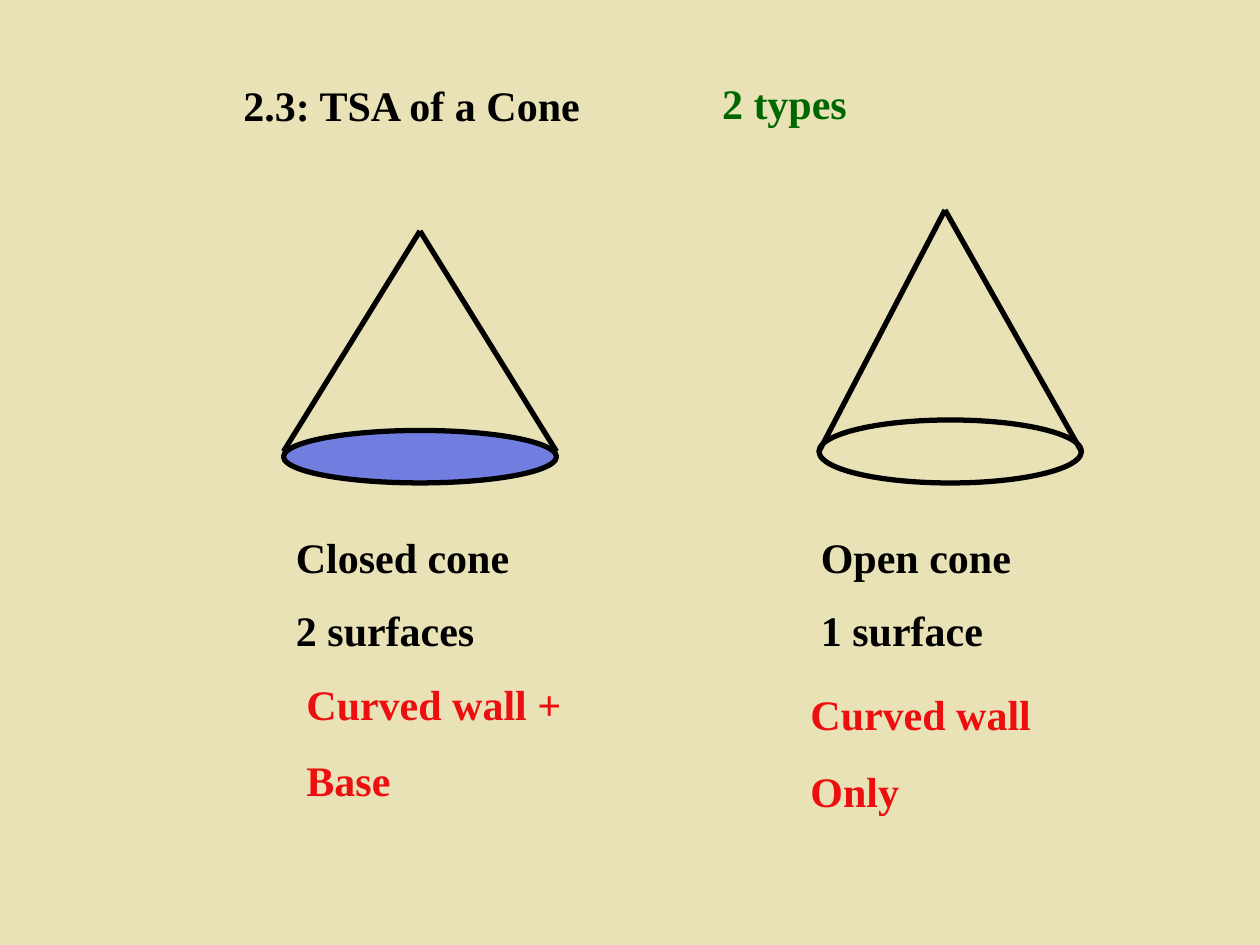
from lxml import etree
from pptx import Presentation
from pptx.dml.color import RGBColor
from pptx.enum.shapes import MSO_CONNECTOR, MSO_SHAPE
from pptx.enum.text import MSO_AUTO_SIZE
from pptx.oxml.ns import qn
from pptx.util import Pt

STRAIGHT = MSO_CONNECTOR.STRAIGHT
OVAL = MSO_SHAPE.OVAL
FIT_SHAPE = MSO_AUTO_SIZE.SHAPE_TO_FIT_TEXT
BLACK, GREEN, RED = "000000", "006600", "ED0F0F"
BASE_BLUE, CREAM = "727DE0", "E9E2B6"


def colour(value):
    return RGBColor.from_string(value)


class ConeSlide:
    """Holds the text and line style and draws on the current slide."""

    font_name = "Times New Roman"
    font_size = 24
    paragraph_gap = 15
    line_width = 3

    def __init__(self, deck, background):
        self.page = deck.slides.add_slide(deck.slide_layouts[6])
        fill = self.page.background.fill
        fill.solid()
        fill.fore_color.rgb = colour(background)

    def text(self, left, top, width, lines, ink=BLACK):
        height = 36 + 44 * (len(lines) - 1)
        box = self.page.shapes.add_textbox(Pt(left), Pt(top), Pt(width), Pt(height))
        frame = box.text_frame
        frame.word_wrap = True
        frame.auto_size = FIT_SHAPE
        frame.text = "\n".join(lines)
        for index, para in enumerate(frame.paragraphs):
            if index:
                para.space_before = Pt(self.paragraph_gap)
            for span in para.runs:
                span.font.name = self.font_name
                span.font.size = Pt(self.font_size)
                span.font.bold = True
                span.font.color.rgb = colour(ink)

    def outline(self, item):
        item.line.color.rgb = colour(BLACK)
        item.line.width = Pt(self.line_width)

    def ellipse(self, group, left, top, width, height, fill):
        base = group.shapes.add_shape(OVAL, Pt(left), Pt(top), Pt(width), Pt(height))
        base.shadow.inherit = False
        if fill:
            base.fill.solid()
            base.fill.fore_color.rgb = colour(fill)
        else:
            base.fill.background()
        self.outline(base)

    def side(self, group, start, end):
        edge = group.shapes.add_connector(STRAIGHT, *map(Pt, start + end))
        self.outline(edge)
        etree.SubElement(edge._element.spPr, qn("a:effectLst"))

    def cone(self, apex, left, top, width, height, fill=None):
        group = self.page.shapes.add_group_shape()
        self.ellipse(group, left, top, width, height, fill)
        for corner in (left, left + width):
            self.side(group, apex, (corner, 258))


def main():
    deck = Presentation()
    deck.slide_width, deck.slide_height = Pt(720), Pt(540)
    slide = ConeSlide(deck, CREAM)

    slide.text(132, 42, 233, ["2.3: TSA of a Cone"])
    slide.text(405.5, 41, 170, ["2 types"], GREEN)

    slide.cone((240, 132), 162, 246, 156, 30, BASE_BLUE)
    slide.cone((540, 120), 468, 240, 150, 36)

    for left, name, surfaces in (
        (162, "Closed cone", "2 surfaces"),
        (462, "Open cone", "1 surface"),
    ):
        slide.text(left, 300, 180, [name])
        slide.text(left, 342, 192, [surfaces])

    slide.text(168, 384, 162, ["Curved wall +", "Base"], RED)
    slide.text(456, 390, 162, ["Curved wall", "Only"], RED)

    deck.save("out.pptx")


if __name__ == "__main__":
    main()
